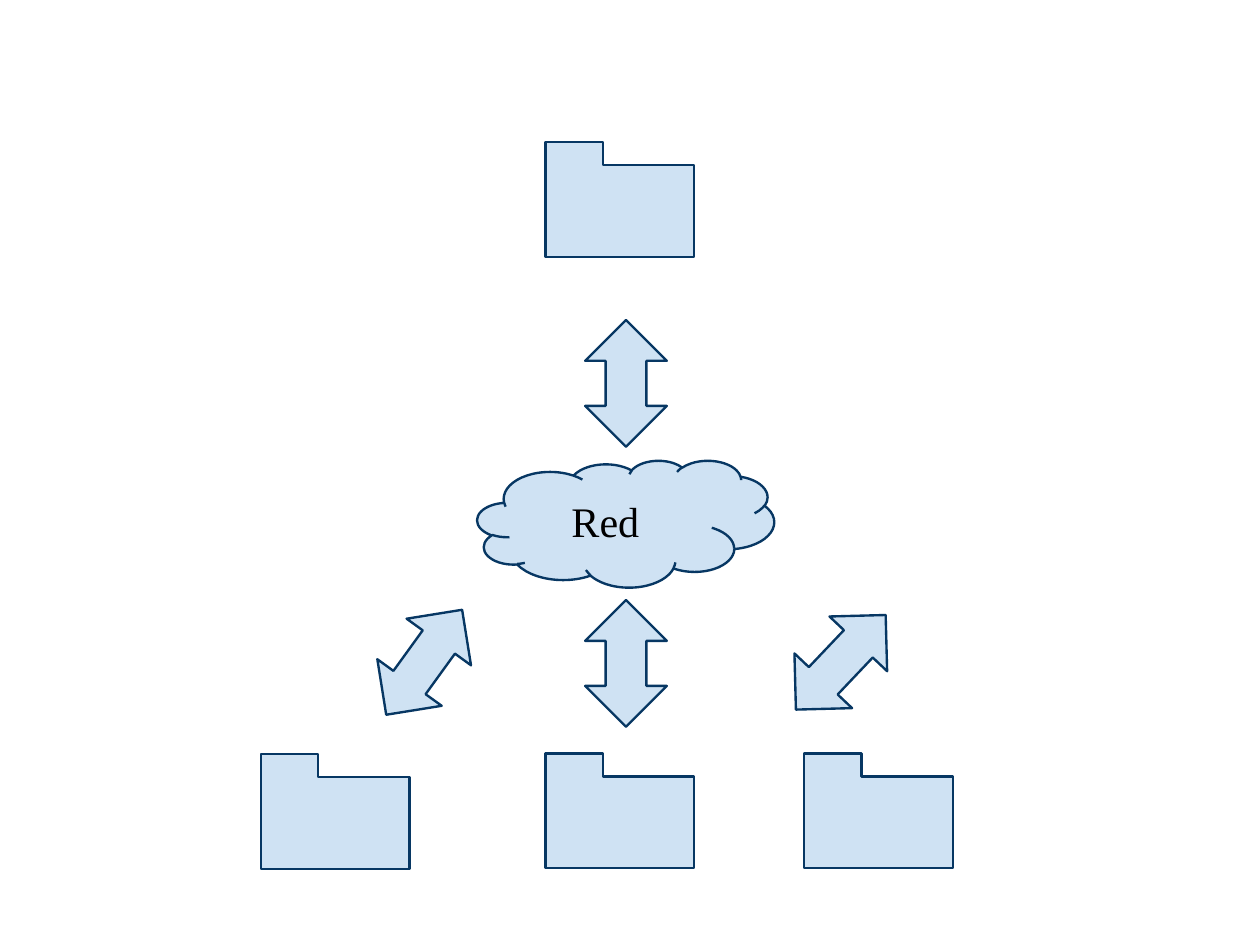
from pptx import Presentation
from pptx import util as u
from pptx.dml.color import RGBColor
from pptx.enum import shapes

PALE_BLUE = "CFE2F3"
NAVY = "073763"
BLACK = "000000"
FONT = "Times New Roman"


def colour(value):
    return RGBColor.from_string(value)


def add_figure(page, kind, left, top, width, height, adjustments=(), rotation=0):
    """Add a pale blue preset shape with a navy outline; lengths in cm."""
    figure = page.shapes.add_shape(
        kind, u.Cm(left), u.Cm(top), u.Cm(width), u.Cm(height))
    for index, value in enumerate(adjustments):
        figure.adjustments[index] = value
    figure.rotation = rotation
    figure.shadow.inherit = False
    figure.fill.solid()
    figure.fill.fore_color.rgb = colour(PALE_BLUE)
    figure.line.color.rgb = colour(NAVY)
    figure.line.width = u.Pt(1.5)
    return figure


def add_arrow(page, left, top, width, height, rotation):
    return add_figure(page, shapes.MSO_SHAPE.LEFT_RIGHT_ARROW,
                      left, top, width, height, (0.5, 0.5), rotation)


def add_folder(page, left, top):
    return add_figure(page, shapes.MSO_SHAPE.CORNER,
                      left, top, 3.33, 2.57, (0.8, 0.5))


def add_label(page, wording, left, top, width, height, *, size, font, ink, inset):
    box = page.shapes.add_textbox(
        u.Cm(left), u.Cm(top), u.Cm(width), u.Cm(height))
    frame = box.text_frame
    frame.word_wrap = True
    frame.margin_left = frame.margin_right = u.Cm(inset)
    frame.margin_top = frame.margin_bottom = u.Cm(inset)
    span = frame.paragraphs[0].add_run()
    span.text = wording
    span.font.size = u.Pt(size)
    span.font.name = font
    span.font.color.rgb = colour(ink)
    return box


def main():
    deck = Presentation()
    deck.slide_width, deck.slide_height = u.Cm(28.22), u.Cm(21.16)
    page = deck.slides.add_slide(deck.slide_layouts[6])

    # Network cloud
    add_figure(page, shapes.MSO_SHAPE.CLOUD, 10.69, 10.31, 6.65, 2.84)

    # Vertical arrows above and below the cloud
    for top in (7.67, 13.94):
        add_arrow(page, 12.6, top, 2.84, 1.83, 90)

    # Slanted arrows to the outer folders
    add_arrow(page, 17.37, 13.94, 2.92, 1.78, 133.5)
    add_arrow(page, 8.05, 13.94, 2.9, 1.78, 125.9)

    # One folder above the network, three below
    for left, top in ((12.22, 3.18), (5.84, 16.89), (12.22, 16.87), (18.01, 16.87)):
        add_folder(page, left, top)

    # Cloud label
    add_label(page, "Red", 12.7, 11, 2.13, 1.27,
              size=26.7, font=FONT, ink=BLACK, inset=0.1)

    deck.save("out.pptx")


if __name__ == "__main__":
    main()
